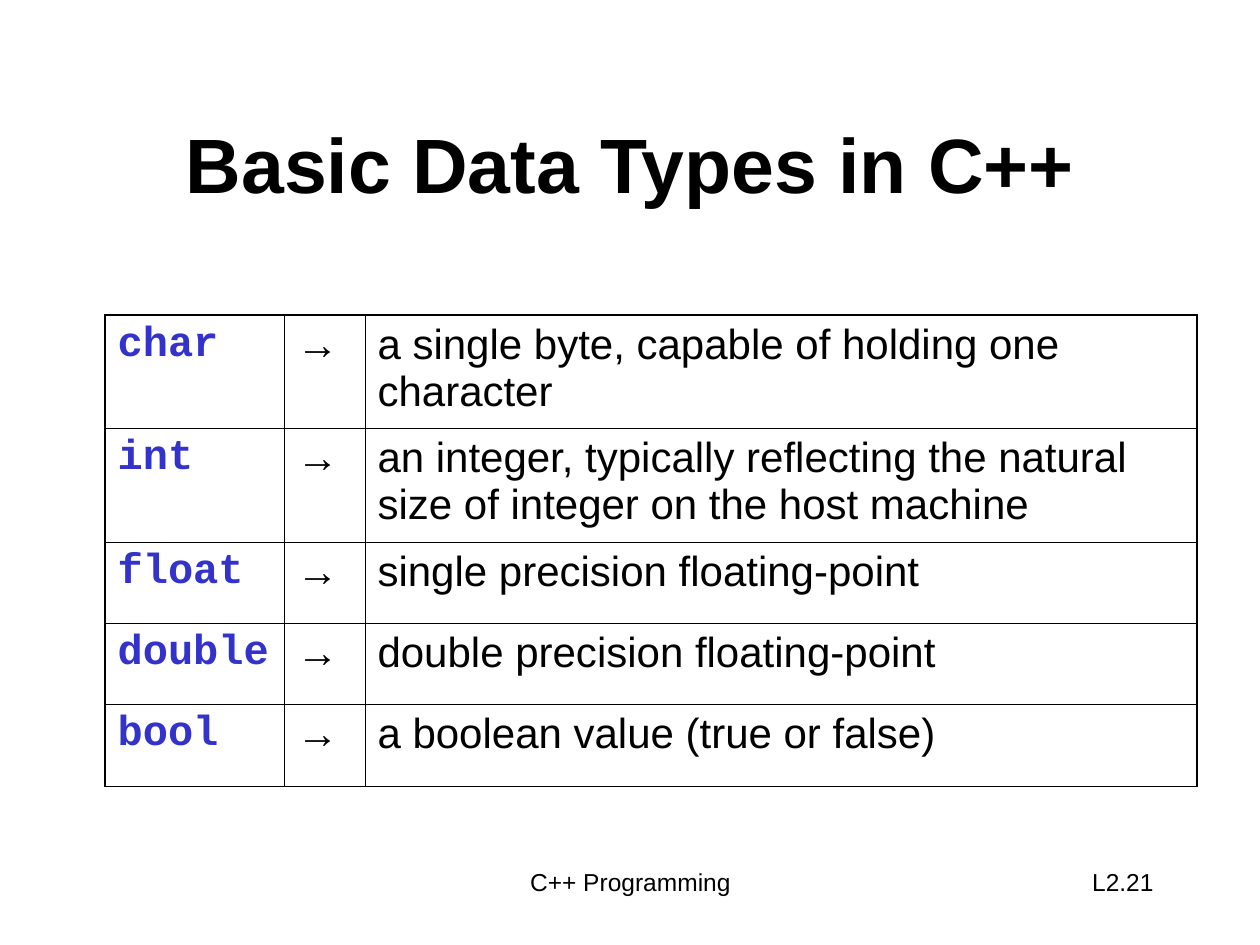
from lxml import etree
from pptx import Presentation
from pptx.dml.color import RGBColor
from pptx.enum.text import MSO_ANCHOR, PP_ALIGN
from pptx.oxml.ns import qn
from pptx.util import Pt

LEFT, CENTER, RIGHT = PP_ALIGN.LEFT, PP_ALIGN.CENTER, PP_ALIGN.RIGHT
TOP, MIDDLE = MSO_ANCHOR.TOP, MSO_ANCHOR.MIDDLE
SCALE = 914400 / 126
COLORS = {"text": "000000", "keyword": "3333CC", "border": "000000"}
FORMATS = {
    "title": {"name": "Arial", "size": Pt(44), "bold": True},
    "footer": {"name": "Arial", "size": Pt(14), "bold": False},
    "keyword": {"name": "Courier New", "size": Pt(24), "bold": True},
    "body": {"name": "Arial", "size": Pt(24), "bold": False},
}
OUTER, INNER = Pt(1.08), Pt(0.45)


def px(value):
    return round(value * SCALE)


def write(frame, text, style, color="text", align=LEFT):
    para = frame.paragraphs[0]
    para.alignment = align
    span = para.add_run()
    span.text = text
    for name, value in FORMATS[style].items():
        setattr(span.font, name, value)
    span.font.color.rgb = RGBColor.from_string(COLORS[color])


deck = Presentation()
deck.slide_width, deck.slide_height = px(1260), px(945)
page = deck.slides.add_slide(deck.slide_layouts[6])

# Title and footer
for text, style, align, anchor, bounds in [
    ("Basic Data Types in C++", "title", CENTER, MIDDLE, (95, 84, 1071, 158)),
    ("C++ Programming", "footer", CENTER, TOP, (368, 861, 525, 63)),
    ("L2.21", "footer", RIGHT, TOP, (903, 861, 263, 63)),
]:
    box = page.shapes.add_textbox(*map(px, bounds))
    box.text_frame.word_wrap = True
    box.text_frame.vertical_anchor = anchor
    write(box.text_frame, text, style, align=align)

# Table of data types
types = [
    ("char", "a single byte, capable of holding one character"),
    ("int", "an integer, typically reflecting the natural size of integer on the host machine"),
    ("float", "single precision floating-point"),
    ("double", "double precision floating-point"),
    ("bool", "a boolean value (true or false)"),
]
widths = [179, 81, 832]
heights = [113, 114, 81, 81, 82]
table = page.shapes.add_table(
    len(types), len(widths), px(105), px(315), px(sum(widths)), px(sum(heights))
).table
table.first_row = table.horz_banding = False
for column, width in zip(table.columns, widths):
    column.width = px(width)
for row, height in zip(table.rows, heights):
    row.height = px(height)

last_row, last_column = len(types) - 1, len(widths) - 1
for r, (keyword, meaning) in enumerate(types):
    for c, (text, style, color) in enumerate([
        (keyword, "keyword", "keyword"),
        ("→", "body", "text"),
        (meaning, "body", "text"),
    ]):
        cell = table.cell(r, c)
        write(cell.text_frame, text, style, color)

        # Thick lines around the table, thin lines inside it
        properties = cell._tc.get_or_add_tcPr()
        for side, at_edge in [
            ("L", c == 0), ("R", c == last_column), ("T", r == 0), ("B", r == last_row),
        ]:
            line = etree.SubElement(
                properties, qn(f"a:ln{side}"), w=str(OUTER if at_edge else INNER)
            )
            fill = etree.SubElement(line, qn("a:solidFill"))
            etree.SubElement(fill, qn("a:srgbClr"), val=COLORS["border"])
        cell.fill.background()

deck.save("out.pptx")
